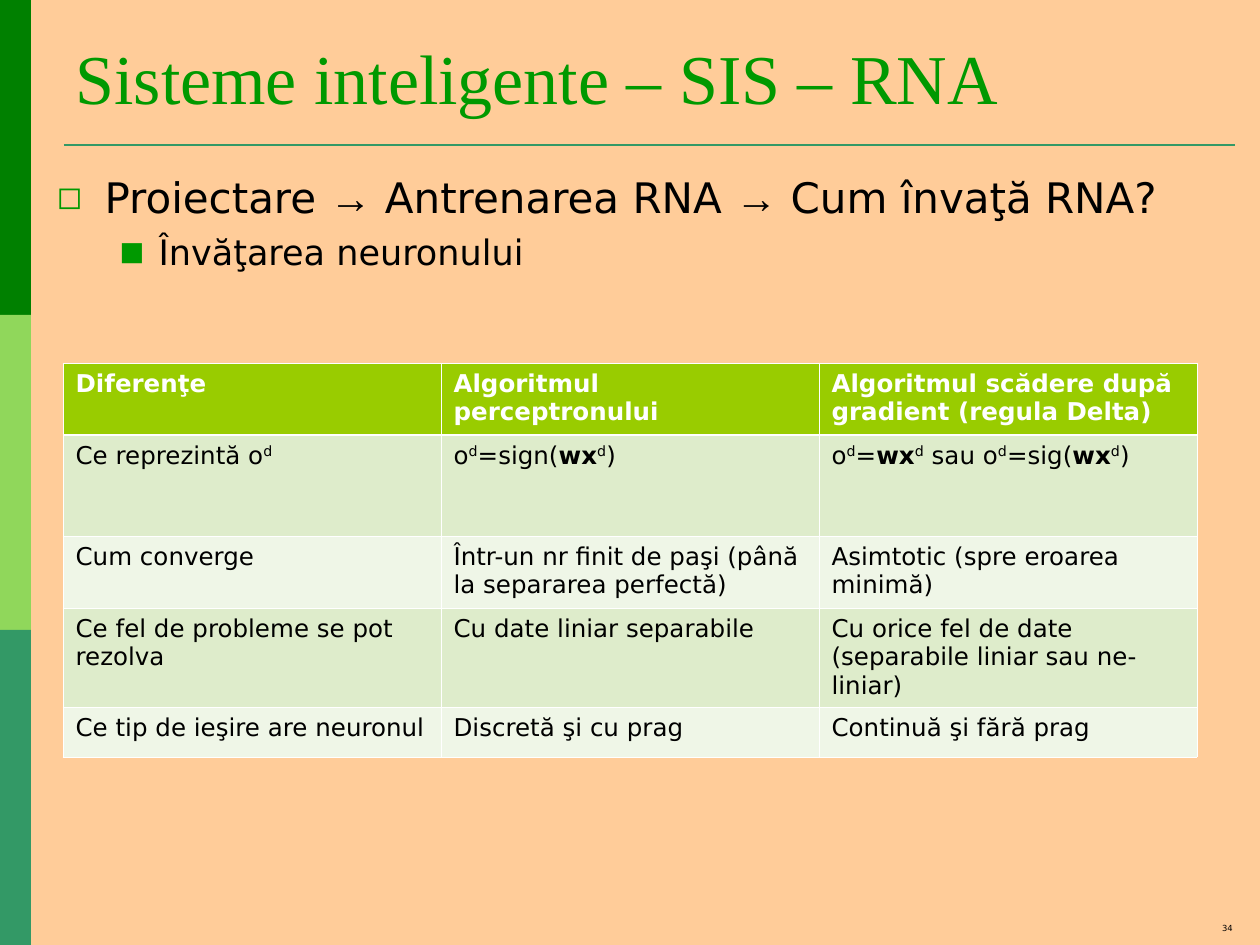
from lxml import etree
from pptx import Presentation
from pptx.dml.color import RGBColor
from pptx.enum.shapes import MSO_CONNECTOR, MSO_SHAPE
from pptx.enum.text import MSO_ANCHOR, MSO_AUTO_SIZE, PP_ALIGN
from pptx.oxml.ns import qn
from pptx.util import Emu, Pt

LINE = MSO_CONNECTOR.STRAIGHT
RECT = MSO_SHAPE.RECTANGLE
TOP, BOTTOM = MSO_ANCHOR.TOP, MSO_ANCHOR.BOTTOM
FIXED = MSO_AUTO_SIZE.NONE
LEFT, RIGHT = PP_ALIGN.LEFT, PP_ALIGN.RIGHT

SCALE = 914400 / 126
SANS, SERIF, ARROW = "DejaVu Sans", "Times New Roman", "Arial"
GREEN, BLACK, WHITE = "009900", "000000", "FFFFFF"
HEAD, BANDS = "99CC00", ("DEECCB", "EFF6E7")

O_D = [("o", ""), ("d", "sup")]
WX_D = [("wx", "bold"), ("d", "sup"), (")", "")]
ROWS = [
    ["Diferenţe", "Algoritmul perceptronului",
     "Algoritmul scădere după gradient (regula Delta)"],
    [[("Ce reprezintă ", "")] + O_D,
     O_D + [("=sign(", "")] + WX_D,
     O_D + [("=", "")] + WX_D[:2] + [(" sau ", "")] + O_D + [("=sig(", "")] + WX_D],
    ["Cum converge", "Într-un nr finit de paşi (până la separarea perfectă)",
     "Asimtotic (spre eroarea minimă)"],
    ["Ce fel de probleme se pot rezolva", "Cu date liniar separabile",
     "Cu orice fel de date (separabile liniar sau ne-liniar)"],
    ["Ce tip de ieşire are neuronul", "Discretă şi cu prag", "Continuă şi fără prag"],
]
HEIGHTS = [72, 101, 72, 99, 50]


def px(n):
    return Emu(round(n * SCALE))


def color(code):
    return RGBColor.from_string(code)


def place(shape, box):
    shape.left, shape.top, shape.width, shape.height = map(px, box)


def add_run(para, text, size, tint=BLACK, font=SANS, style=""):
    run = para.add_run()
    run.text = text
    run.font.size = Pt(size)
    run.font.name = font
    run.font.bold = style == "bold"
    run.font.color.rgb = color(tint)
    if style == "sup":
        run.font._element.set("baseline", "30000")


def add_node(parent, tag, **attrs):
    node = etree.SubElement(parent, qn(tag))
    for key, value in attrs.items():
        node.set(key, str(value))
    return node


def add_bullet(para, mark, indent, hang):
    props = para._p.get_or_add_pPr()
    props.set("marL", str(px(indent)))
    props.set("indent", str(-px(hang)))
    add_node(add_node(props, "a:buClr"), "a:srgbClr", val=GREEN)
    add_node(props, "a:buSzPct", val=75000)
    add_node(props, "a:buFont", typeface=SANS)
    add_node(props, "a:buChar", char=mark)


def add_frame(slide, box):
    x, y, w, h = box
    step = h // 3
    for i, tint in enumerate(("008000", "90D75B", "339966")):
        bar = slide.shapes.add_shape(RECT, *map(px, (x, y + i * step, 31, step)))
        bar.shadow.inherit = False
        bar.fill.solid()
        bar.fill.fore_color.rgb = color(tint)
        bar.line.fill.background()
    rule = slide.shapes.add_connector(
        LINE, *map(px, (x + 64, y + 145, x + w - 25, y + 145)))
    rule.line.color.rgb = color("339966")
    rule.line.width = Pt(1.5)
    add_node(rule._element.spPr, "a:effectLst")


def add_title(slide, box):
    title = slide.shapes.title
    place(title, box)
    frame = title.text_frame
    frame.auto_size = FIXED
    frame.vertical_anchor = BOTTOM
    para = frame.paragraphs[0]
    para.alignment = LEFT
    add_run(para, "Sisteme inteligente – SIS – RNA", 40, GREEN, SERIF)


def add_list(slide, box):
    body = slide.placeholders[1]
    place(body, box)
    frame = body.text_frame
    frame.auto_size = FIXED
    frame.vertical_anchor = TOP
    para = frame.paragraphs[0]
    para.space_before = Pt(6)
    add_bullet(para, "◻", 48, 48)
    for text, font in (("Proiectare ", SANS), ("→", ARROW),
                       (" Antrenarea RNA ", SANS), ("→", ARROW),
                       (" Cum învaţă RNA?", SANS)):
        add_run(para, text, 24, font=font)
    para = frame.add_paragraph()
    para.level = 1
    para.space_before = Pt(5)
    add_bullet(para, "■", 102, 39)
    add_run(para, "Învăţarea neuronului", 20)


def add_edges(cell, row):
    props = cell._tc.get_or_add_tcPr()
    thick = {0: "a:lnB", 1: "a:lnT"}.get(row)
    for tag in ("a:lnL", "a:lnR", "a:lnT", "a:lnB"):
        width = Pt(1.47 if tag == thick else 0.45)
        fill = add_node(add_node(props, tag, w=width), "a:solidFill")
        add_node(fill, "a:srgbClr", val=WHITE)


def add_grid(slide, box):
    table = slide.shapes.add_table(len(ROWS), 3, *map(px, box)).table
    for col in table.columns:
        col.width = px(box[2] // 3)
    for r, (cells, height) in enumerate(zip(ROWS, HEIGHTS)):
        table.rows[r].height = px(height)
        tint, base = (BLACK, "") if r else (WHITE, "bold")
        for c, text in enumerate(cells):
            cell = table.cell(r, c)
            add_edges(cell, r)
            cell.fill.solid()
            cell.fill.fore_color.rgb = color(BANDS[(r - 1) % 2] if r else HEAD)
            para = cell.text_frame.paragraphs[0]
            runs = [(text, base)] if isinstance(text, str) else text
            for part, style in runs:
                add_run(para, part, 14, tint, style=style)


def add_number(slide, box):
    frame = slide.shapes.add_textbox(*map(px, box)).text_frame
    frame.word_wrap = True
    para = frame.paragraphs[0]
    para.alignment = RIGHT
    add_run(para, "34", 4.8)


def main():
    deck = Presentation()
    deck.slide_width, deck.slide_height = px(1260), px(945)
    slide = deck.slides.add_slide(deck.slide_layouts[1])
    fill = slide.background.fill
    fill.solid()
    fill.fore_color.rgb = color("FFCC99")
    add_frame(slide, (0, 0, 1260, 945))
    add_title(slide, (63, 38, 1172, 87))
    add_list(slide, (44, 165, 1191, 753))
    add_grid(slide, (63, 363, 1134, sum(HEIGHTS)))
    add_number(slide, (951, 917, 294, 25))
    deck.save("out.pptx")


if __name__ == "__main__":
    main()
